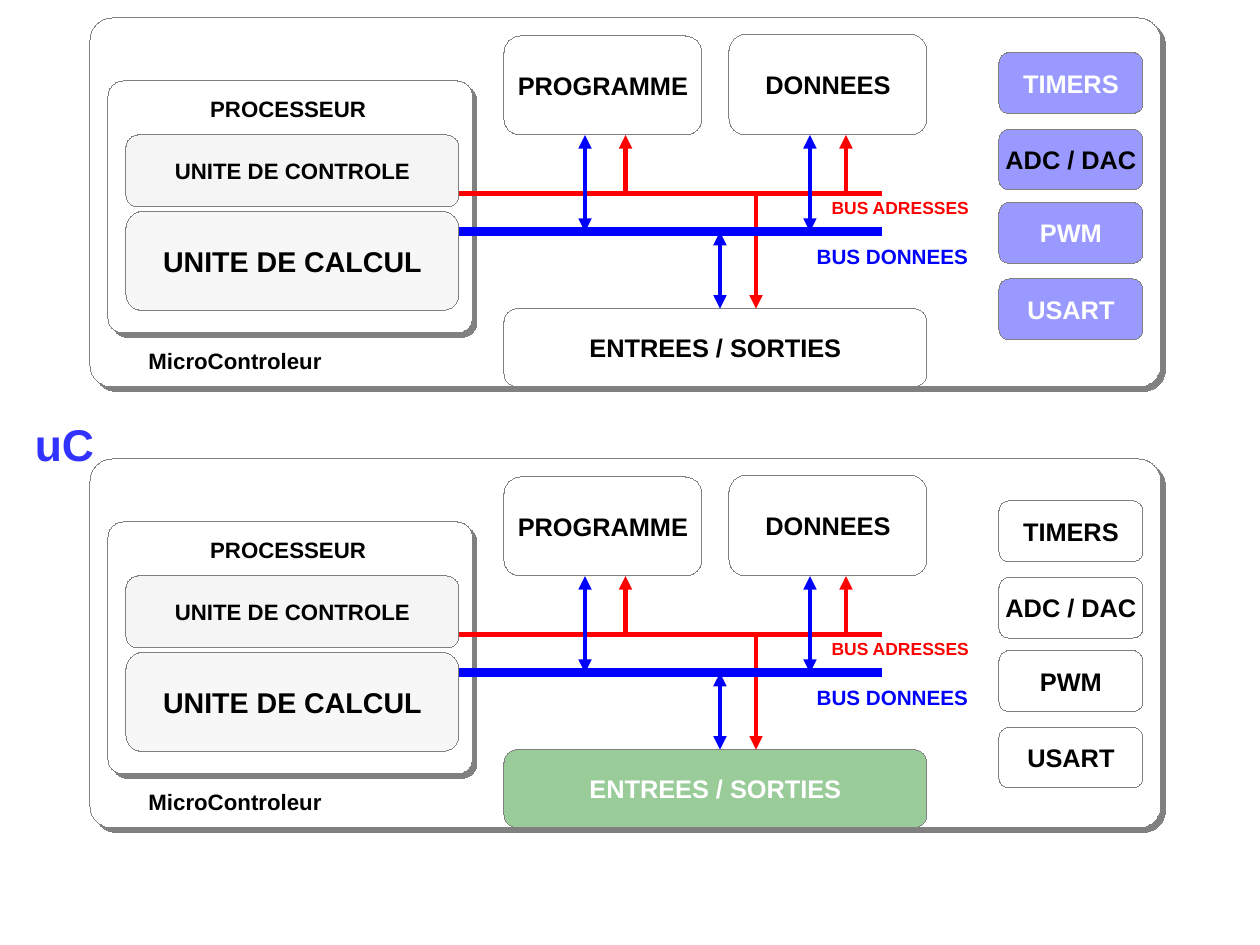
from dataclasses import dataclass

import pptx
import pptx.dml.color
import pptx.enum.shapes
import pptx.enum.text
import pptx.oxml.ns
import pptx.util
from lxml import etree

COLORS = {
    "white": "FFFFFF", "black": "000000", "outline": "808080", "unit": "E6E6E6",
    "address": "FF0000", "data": "0000FF", "ports": "008000", "title": "3333FF",
}
# The grid has one column or row per centimetre
COLUMNS, ROWS = 28, 21
FRAME_PITCH = 9.8  # rows between the two microcontrollers

presentation = pptx.Presentation()
presentation.slide_width = pptx.util.Cm(COLUMNS)
presentation.slide_height = pptx.util.Cm(ROWS)
slide = presentation.slides.add_slide(presentation.slide_layouts[5])


@dataclass
class Block:
    text: str
    left: float
    top: float
    width: float
    height: float
    fill: str = "white"
    opacity: int = 40
    size: int = 16
    ink: str = "black"


@dataclass
class Enclosure:
    left: float
    top: float
    width: float
    height: float


@dataclass
class Label:
    text: str
    left: float
    top: float
    width: float
    height: float
    size: int
    ink: str = "black"


@dataclass
class Wire:
    start: tuple[float, float]
    end: tuple[float, float]
    color: str
    weight: float = 2.83
    heads: tuple[str, ...] = ()


def column(count: float) -> int:
    return round(presentation.slide_width * count / COLUMNS)


def row(count: float) -> int:
    return round(presentation.slide_height * count / ROWS)


def rgb(name: str) -> pptx.dml.color.RGBColor:
    return pptx.dml.color.RGBColor.from_string(COLORS[name])


def add_xml(parent, tag: str, **attributes: str):
    return etree.SubElement(parent, pptx.oxml.ns.qn(tag), attributes)


def find_xml(shape, tag: str):
    return shape._element.spPr.find(".//" + pptx.oxml.ns.qn(tag))


def bounds(item, shift: float = 0) -> tuple[int, int, int, int]:
    return column(item.left), row(item.top + shift), column(item.width), row(item.height)


def write(frame, text: str, size: int, ink: str, centred: bool = False) -> None:
    anchors, aligns = pptx.enum.text.MSO_ANCHOR, pptx.enum.text.PP_ALIGN
    frame_format = {
        "word_wrap": False,
        "auto_size": pptx.enum.text.MSO_AUTO_SIZE.NONE,
        "vertical_anchor": anchors.MIDDLE if centred else anchors.TOP,
        "margin_left": pptx.util.Inches(0.1), "margin_right": pptx.util.Inches(0.1),
        "margin_top": pptx.util.Inches(0.05), "margin_bottom": pptx.util.Inches(0.05),
    }
    for name, value in frame_format.items():
        setattr(frame, name, value)
    frame.text = text
    paragraph = frame.paragraphs[0]
    paragraph.alignment = aligns.CENTER if centred else aligns.LEFT
    font_format = {"name": "Arial", "size": pptx.util.Pt(size), "bold": True}
    for name, value in font_format.items():
        setattr(paragraph.runs[0].font, name, value)
    paragraph.runs[0].font.color.rgb = rgb(ink)


def draw_rounded(item, shift: float, fill: str):
    rounded = slide.shapes.add_shape(
        pptx.enum.shapes.MSO_SHAPE.ROUNDED_RECTANGLE, *bounds(item, shift))
    rounded.fill.solid()
    rounded.fill.fore_color.rgb = rgb(fill)
    rounded.line.color.rgb = rgb("outline")
    find_xml(rounded, "a:ln").set("w", "0")  # hairline
    rounded.shadow.inherit = False
    return rounded


def draw_enclosure(enclosure: Enclosure, shift: float) -> None:
    casing = draw_rounded(enclosure, shift, "white")
    casing.adjustments[0] = 0.06
    shadow = add_xml(find_xml(casing, "a:effectLst"), "a:outerShdw", blurRad="0",
                     dist=str(pptx.util.Pt(4)), dir=str(45 * 60000), algn="tl",
                     rotWithShape="0")
    add_xml(shadow, "a:srgbClr", val=COLORS["outline"])


def draw_block(block: Block, shift: float) -> None:
    body = draw_rounded(block, shift, block.fill)
    add_xml(find_xml(body, "a:srgbClr"), "a:alpha", val=str(block.opacity * 1000))
    write(body.text_frame, block.text, block.size, block.ink, centred=True)


def draw_label(label: Label, shift: float) -> None:
    caption = slide.shapes.add_textbox(*bounds(label, shift))
    write(caption.text_frame, label.text, label.size, label.ink)


def draw_wire(wire: Wire, shift: float) -> None:
    (x1, y1), (x2, y2) = wire.start, wire.end
    link = slide.shapes.add_connector(
        pptx.enum.shapes.MSO_CONNECTOR.STRAIGHT,
        column(x1), row(y1 + shift), column(x2), row(y2 + shift))
    link.line.color.rgb = rgb(wire.color)
    link.line.width = pptx.util.Pt(wire.weight)
    for end in wire.heads:
        add_xml(find_xml(link, "a:ln"), f"a:{end}", type="triangle")
    add_xml(link._element.spPr, "a:effectLst")


# Levels shared by the blocks and the buses
MEMORY_BOTTOM, ADDRESS_BUS, DATA_BUS, PORTS_TOP = 3, 4.3, 5.15, 6.86
BUS_LEFT, BUS_RIGHT = 10.2, 19.6
BOTH = ("headEnd", "tailEnd")

CASE = Enclosure(2, 0.4, 23.8, 8.2)
PROCESSOR = Enclosure(2.4, 1.8, 8.1, 5.6)
COMMON_BLOCKS = [
    Block("PROGRAMME", 11.2, 0.8, 4.4, 2.2),
    Block("DONNEES", 16.2, 0.76, 4.4, 2.24),
    Block("UNITE DE CALCUL", 2.8, 4.7, 7.4, 2.2, "unit", 30, 18),
    Block("UNITE DE CONTROLE", 2.8, 3, 7.4, 1.6, "unit", 40, 14),
]
LABELS = [
    Label("MicroControleur", 3.05, 7.59, 4.34, 0.81, 14),
    Label("PROCESSEUR", 4.42, 1.99, 3.99, 0.81, 14),
    Label("BUS DONNEES", 17.9, 5.3, 3.86, 0.76, 13, "data"),
    Label("BUS ADRESSES", 18.23, 4.26, 3.56, 0.69, 11, "address"),
]
WIRES = [
    Wire((BUS_RIGHT, ADDRESS_BUS), (BUS_LEFT, ADDRESS_BUS), "address"),
    Wire((16.8, ADDRESS_BUS), (16.8, PORTS_TOP), "address", heads=("tailEnd",)),
    Wire((BUS_RIGHT, DATA_BUS), (BUS_LEFT, DATA_BUS), "data", 5.67),
    Wire((16, DATA_BUS), (16, PORTS_TOP), "data", heads=BOTH),
]
WIRES += [Wire((x, MEMORY_BOTTOM), (x, DATA_BUS), "data", heads=BOTH) for x in (13, 18)]
WIRES += [Wire((x, ADDRESS_BUS), (x, MEMORY_BOTTOM), "address", heads=("tailEnd",))
          for x in (13.9, 18.8)]
PERIPHERALS = {"TIMERS": 0, "ADC / DAC": 1.7, "PWM": 3.33, "USART": 5.03}


def draw_controller(shift: float, ports: tuple[str, str], peripheral_fill: str,
                    peripheral_top: float, white_names: tuple[str, ...]) -> None:
    draw_enclosure(CASE, shift)
    draw_enclosure(PROCESSOR, shift)
    ports_fill, ports_ink = ports
    ports_block = Block("ENTREES / SORTIES", 11.2, PORTS_TOP, 9.4, 1.73,
                        fill=ports_fill, ink=ports_ink)
    for block in [*COMMON_BLOCKS, ports_block]:
        draw_block(block, shift)
    for wire in WIRES:
        draw_wire(wire, shift)
    for label in LABELS:
        draw_label(label, shift)
    for name, offset in PERIPHERALS.items():
        ink = "white" if name in white_names else "black"
        draw_block(Block(name, 22.2, peripheral_top + offset, 3.2, 1.35,
                         fill=peripheral_fill, ink=ink), shift)


# Upper controller highlights the peripherals, lower one the ports
draw_controller(0, ("white", "black"), "data", 1.17, ("TIMERS", "PWM", "USART"))
draw_controller(FRAME_PITCH, ("ports", "white"), "white", 1.33, ())

# Title, in front of the frames
heading = slide.shapes.title
heading.left, heading.top, heading.width, heading.height = bounds(
    Enclosure(0.52, 9.14, 6.53, 2.46))
write(heading.text_frame, "uC", 28, "title")
slide.shapes._spTree.append(heading._element)

presentation.save("out.pptx")
